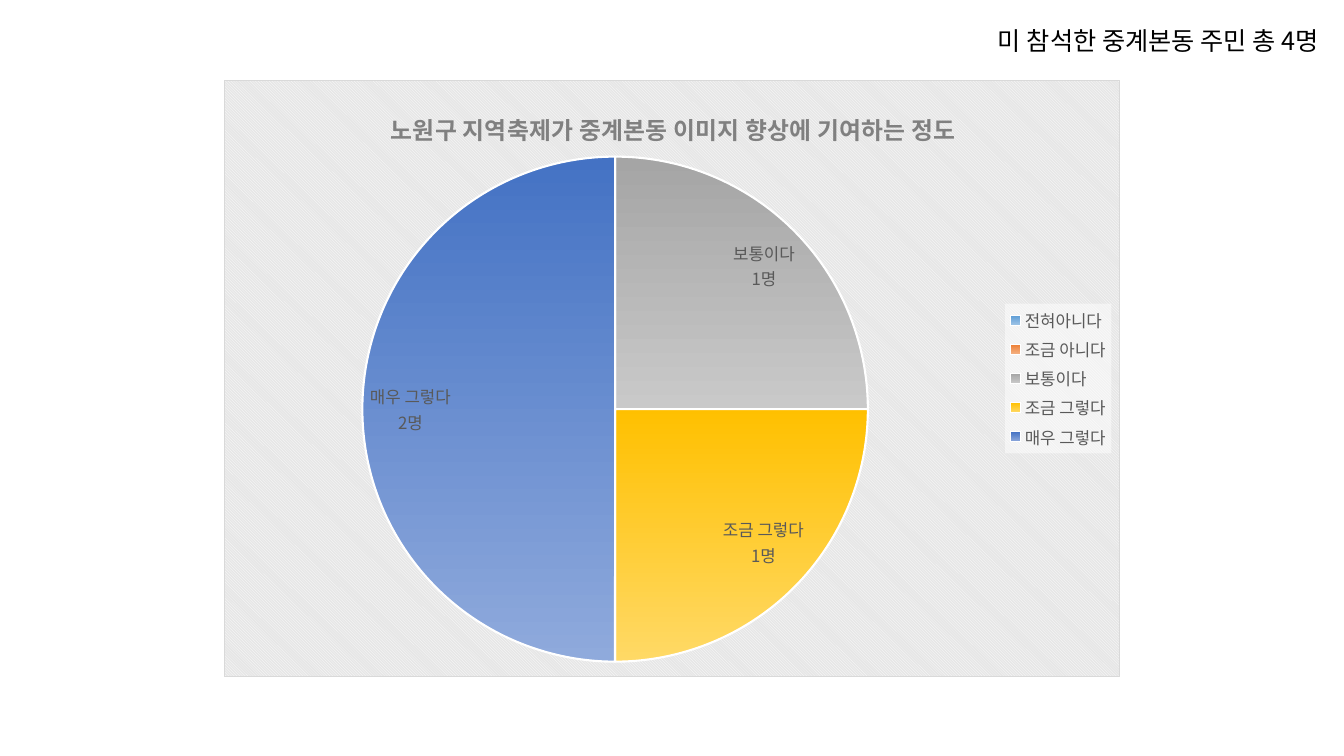
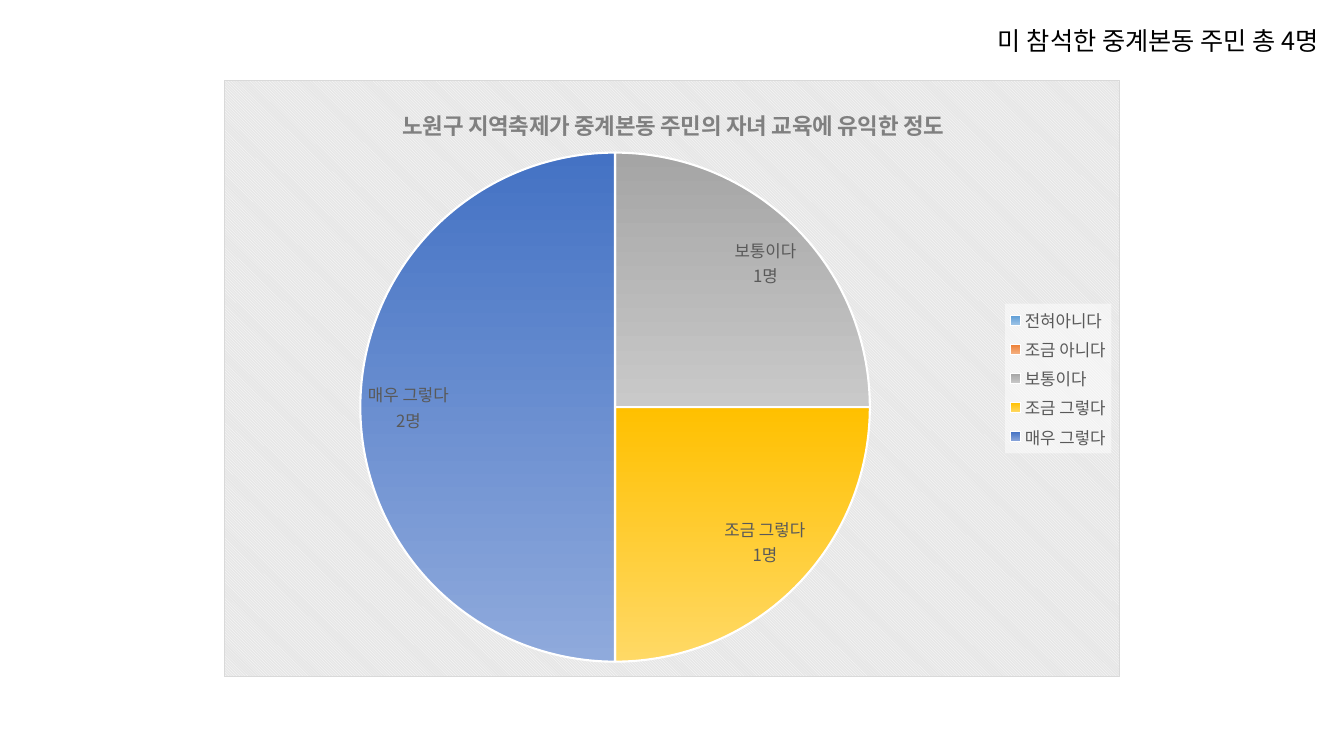
from lxml import etree
from pptx import Presentation
from pptx.chart.data import CategoryChartData
from pptx.dml.color import RGBColor
from pptx.enum.chart import XL_CHART_TYPE, XL_LABEL_POSITION as LabelPosition, XL_LEGEND_POSITION as LegendPosition
from pptx.enum.text import MSO_AUTO_SIZE
from pptx.oxml import parse_xml
from pptx.oxml.ns import nsdecls, qn
from pptx.util import Inches, Pt

FONT = "Noto Sans CJK KR"
BLACK = RGBColor(0x00, 0x00, 0x00)
WHITE = RGBColor(0xFF, 0xFF, 0xFF)
TITLE_GRAY = RGBColor(0x80, 0x80, 0x80)
LABEL_GRAY = RGBColor(0x59, 0x59, 0x59)
PATTERN_GRAY = RGBColor(0xE6, 0xE6, 0xE6)
BORDER_GRAY = RGBColor(0xD9, 0xD9, 0xD9)

HEADING = "미 참석한 중계본동 주민 총 4명"
ANSWERS = [
    ("전혀아니다", RGBColor(0x5B, 0x9B, 0xD5), RGBColor(0x9D, 0xC3, 0xE6)),
    ("조금 아니다", RGBColor(0xED, 0x7D, 0x31), RGBColor(0xF4, 0xB1, 0x83)),
    ("보통이다", RGBColor(0xA5, 0xA5, 0xA5), RGBColor(0xC9, 0xC9, 0xC9)),
    ("조금 그렇다", RGBColor(0xFF, 0xC0, 0x00), RGBColor(0xFF, 0xD9, 0x66)),
    ("매우 그렇다", RGBColor(0x44, 0x72, 0xC4), RGBColor(0x8F, 0xAA, 0xDC)),
]
QUESTIONS = [
    {
        "title": "노원구 지역축제가 중계본동 이미지 향상에 기여하는 정도",
        "title_size": 17,
        "title_at": (Inches(3.83), Inches(1.03)),
        "diameter": Inches(5.02),
        "votes": (None, None, 1, 1, 2),
    },
    {
        "title": "노원구 지역축제가 중계본동 주민의 자녀 교육에 유익한 정도",
        "title_size": 16,
        "title_at": (Inches(3.95), Inches(1.01)),
        "diameter": Inches(5.06),
        "votes": (None, None, 1, 1, 2),
    },
]

CHART_LEFT, CHART_TOP = Inches(2.22), Inches(0.79)
CHART_WIDTH, CHART_HEIGHT = Inches(8.89), Inches(5.93)
PIE_CENTER, PIE_BOTTOM = Inches(6.1), Inches(6.57)


def style_font(font, size, color, bold=False):
    font.name = FONT
    font.size = Pt(size)
    font.bold = bold
    font.color.rgb = color


def write_text(frame, text, **style):
    run = frame.paragraphs[0].add_run()
    run.text = text
    style_font(run.font, **style)


def add_east_asian_font(root):
    for latin in list(root.iter(qn("a:latin"))):
        latin.addnext(parse_xml(f'<a:ea {nsdecls("a")} typeface="{FONT}"/>'))


def place(parent, index, left, top, width=None, height=None):
    for old in parent.findall(qn("c:layout")):
        parent.remove(old)
    layout = etree.Element(qn("c:layout"))
    manual = etree.SubElement(layout, qn("c:manualLayout"))
    settings = {"xMode": "edge", "yMode": "edge",
                "x": (left - CHART_LEFT) / CHART_WIDTH, "y": (top - CHART_TOP) / CHART_HEIGHT}
    if width:
        settings = {"layoutTarget": "inner", **settings,
                    "w": width / CHART_WIDTH, "h": height / CHART_HEIGHT}
    for tag, value in settings.items():
        etree.SubElement(manual, qn(f"c:{tag}")).set("val", str(value))
    parent.insert(index, layout)


def fill_chart_area(chart):
    chart.element.find(qn("c:chart")).addnext(parse_xml(
        f'<c:spPr {nsdecls("c", "a")}><a:pattFill prst="dkDnDiag">'
        f'<a:fgClr><a:srgbClr val="{WHITE}"/></a:fgClr>'
        f'<a:bgClr><a:srgbClr val="{PATTERN_GRAY}"/></a:bgClr></a:pattFill>'
        f'<a:ln w="{Pt(0.75)}"><a:solidFill><a:srgbClr val="{BORDER_GRAY}"/></a:solidFill></a:ln>'
        '</c:spPr>'))


def add_legend(chart):
    chart.has_legend = True
    legend = chart.legend
    legend.position = LegendPosition.RIGHT
    legend.include_in_layout = False
    style_font(legend.font, 12, LABEL_GRAY)
    legend_xml = chart.element.find(".//" + qn("c:legend"))
    legend_xml.find(qn("c:txPr")).addprevious(parse_xml(
        f'<c:spPr {nsdecls("c", "a")}><a:solidFill><a:srgbClr val="{WHITE}">'
        '<a:alpha val="50000"/></a:srgbClr></a:solidFill></c:spPr>'))


def color_slices(series):
    for index, (_, top_color, bottom_color) in enumerate(ANSWERS):
        look = series.points[index].format
        look.fill.gradient()
        look.fill.gradient_angle = 270
        for stop, color in zip(look.fill.gradient_stops, (top_color, bottom_color)):
            stop.color.rgb = color
        look.line.color.rgb = WHITE
        look.line.width = Pt(1.5)


def label_slices(series):
    labels = series.data_labels
    labels.show_value = labels.show_category_name = True
    labels.number_format = '0"명"'
    labels.number_format_is_linked = False
    labels.position = LabelPosition.BEST_FIT
    style_font(labels.font, 12, LABEL_GRAY)
    separator = etree.Element(qn("c:separator"))
    separator.text = "\n"
    labels._element.find(qn("c:showBubbleSize")).addnext(separator)


def add_pie(slide, question):
    data = CategoryChartData()
    data.categories = [answer for answer, _, _ in ANSWERS]
    data.add_series("Series 1", question["votes"])
    chart = slide.shapes.add_chart(
        XL_CHART_TYPE.PIE, CHART_LEFT, CHART_TOP, CHART_WIDTH, CHART_HEIGHT, data).chart
    style_font(chart.font, 10, BLACK)
    fill_chart_area(chart)

    chart.has_title = True
    write_text(chart.chart_title.text_frame, question["title"],
               size=question["title_size"], color=TITLE_GRAY, bold=True)
    place(chart.element.find(".//" + qn("c:title")), 1, *question["title_at"])
    diameter = question["diameter"]
    place(chart.element.find(".//" + qn("c:plotArea")), 0,
          PIE_CENTER - diameter / 2, PIE_BOTTOM - diameter, diameter, diameter)

    add_legend(chart)
    pie = chart.plots[0]
    pie.vary_by_categories = True
    color_slices(pie.series[0])
    label_slices(pie.series[0])
    add_east_asian_font(chart.element)


def add_heading(slide):
    heading = slide.shapes.add_textbox(Inches(9.8), Inches(0.2), Inches(3.96), Inches(0.4))
    heading.text_frame.word_wrap = False
    heading.text_frame.auto_size = MSO_AUTO_SIZE.SHAPE_TO_FIT_TEXT
    write_text(heading.text_frame, HEADING, size=18, color=BLACK)
    add_east_asian_font(heading.element)


def main():
    """Build one survey pie slide per question."""
    deck = Presentation()
    deck.slide_width, deck.slide_height = Inches(13.33), Inches(7.5)
    for question in QUESTIONS:
        slide = deck.slides.add_slide(deck.slide_layouts[6])
        add_pie(slide, question)
        add_heading(slide)
    deck.save("out.pptx")


if __name__ == "__main__":
    main()
